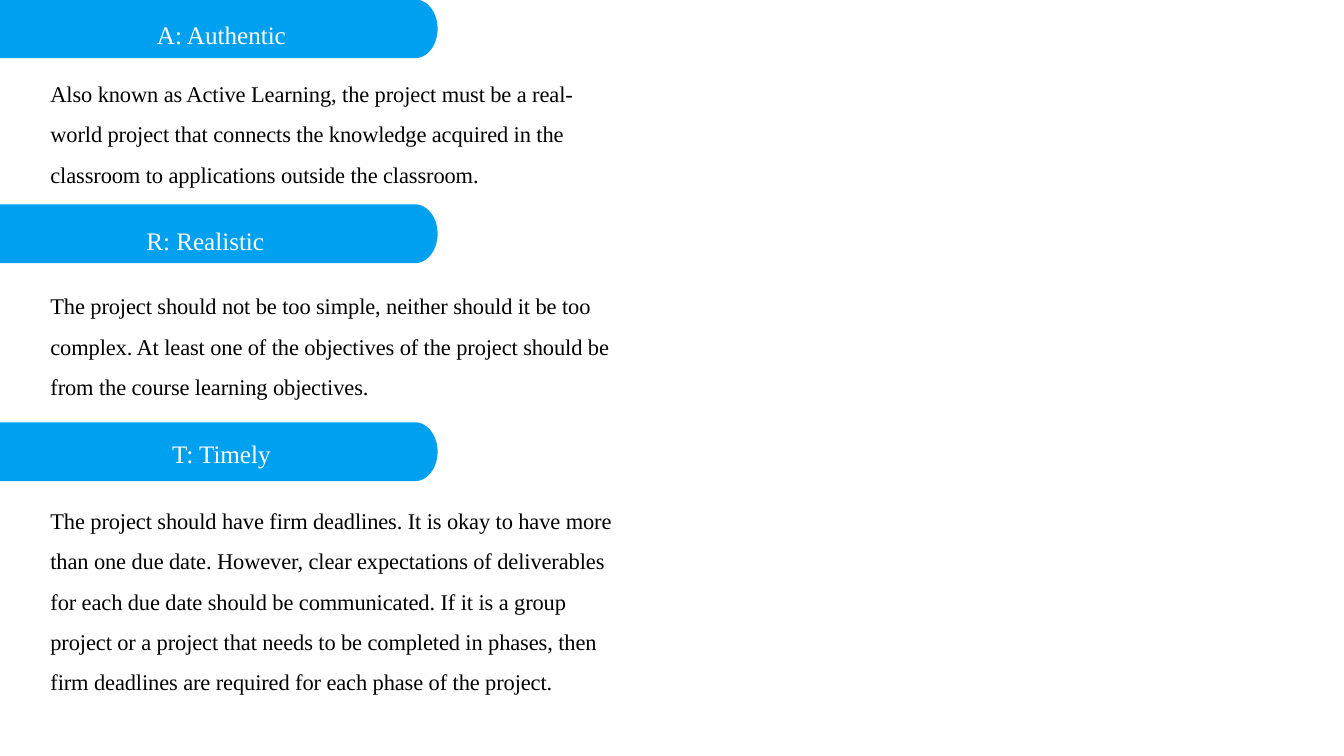
from math import cos, pi, sin

from pptx import Presentation
from pptx.dml.color import RGBColor as RGB
from pptx.enum.text import MSO_AUTO_SIZE as AutoSize, PP_ALIGN as Align
from pptx.util import Inches, Pt

THEME = {
    "banner": RGB(0x00, 0xA0, 0xF0),
    "heading": {"name": "Times New Roman", "size": Pt(28),
                "color": RGB(0xFF, 0xFF, 0xFF)},
    "body": {"name": "Times New Roman", "size": Pt(25),
             "color": RGB(0, 0, 0)},
}
W, H = 20.79, 11.69
LEFT = 0.78
BANNER_W, BANNER_H = 6.77, 0.91
CORNER_W, CORNER_H = 0.35, BANNER_H / 2
ARC_STEPS = 24
HEADING_W, HEADING_H = 5.21, 0.49
BODY_W = 8.77

# banner top, heading left and top, body top and height, heading, body
SECTIONS = [
    (-0.01, 0.82, 0.28, 1.01, 2.27, "A: Authentic",
     "Also known as Active Learning, the project must be a real-world project "
     "that connects the knowledge acquired in the classroom to applications "
     "outside the classroom."),
    (3.16, 0.57, 3.47, 4.29, 2.27, "R: Realistic",
     "The project should not be too simple, neither should it be too complex. "
     "At least one of the objectives of the project should be from the course "
     "learning objectives."),
    (6.53, 0.82, 6.76, 7.61, 4.0, "T: Timely",
     "The project should have firm deadlines. It is okay to have more than one "
     "due date. However, clear expectations of deliverables for each due date "
     "should be communicated. If it is a group project or a project that needs "
     "to be completed in phases, then firm deadlines are required for each "
     "phase of the project."),
]


def add_banner(slide, top):
    """Draw a bar from the left edge with an elliptical right end."""
    x, y = BANNER_W - CORNER_W, top + CORNER_H
    angles = [pi * i / ARC_STEPS for i in range(ARC_STEPS + 1)]
    arc = [(x + CORNER_W * sin(a), y - CORNER_H * cos(a)) for a in angles]
    fb = slide.shapes.build_freeform(0, Inches(top), scale=1.0)
    corners = arc + [(0, top + BANNER_H)]
    fb.add_line_segments([(Inches(cx), Inches(cy)) for cx, cy in corners])
    sp = fb.convert_to_shape()
    sp.shadow.inherit = False
    sp.fill.solid()
    sp.fill.fore_color.rgb = THEME["banner"]
    sp.line.fill.background()


def add_text(slide, box, text, style, align, line_spacing):
    tf = slide.shapes.add_textbox(*map(Inches, box)).text_frame
    frame = {"word_wrap": True, "auto_size": AutoSize.SHAPE_TO_FIT_TEXT,
             "margin_left": 0, "margin_right": 0, "margin_bottom": 0,
             "margin_top": Inches(0.02)}
    for name, value in frame.items():
        setattr(tf, name, value)
    p = tf.paragraphs[0]
    p.alignment, p.line_spacing = align, line_spacing
    r = p.add_run()
    r.text = text
    for name in ("name", "size"):
        setattr(r.font, name, THEME[style][name])
    r.font.color.rgb = THEME[style]["color"]
    if style == "body":
        r._r.get_or_add_rPr().set("spc", "-10")


prs = Presentation()
prs.slide_width, prs.slide_height = Inches(W), Inches(H)
s = prs.slides.add_slide(prs.slide_layouts[6])

for banner_top, head_left, head_top, body_top, body_h, heading, body in SECTIONS:
    add_banner(s, banner_top)
    add_text(s, (head_left, head_top, HEADING_W, HEADING_H), heading,
             "heading", Align.CENTER, 1.0)
    add_text(s, (LEFT, body_top, BODY_W, body_h), body,
             "body", Align.LEFT, 1.5)

prs.save("out.pptx")
